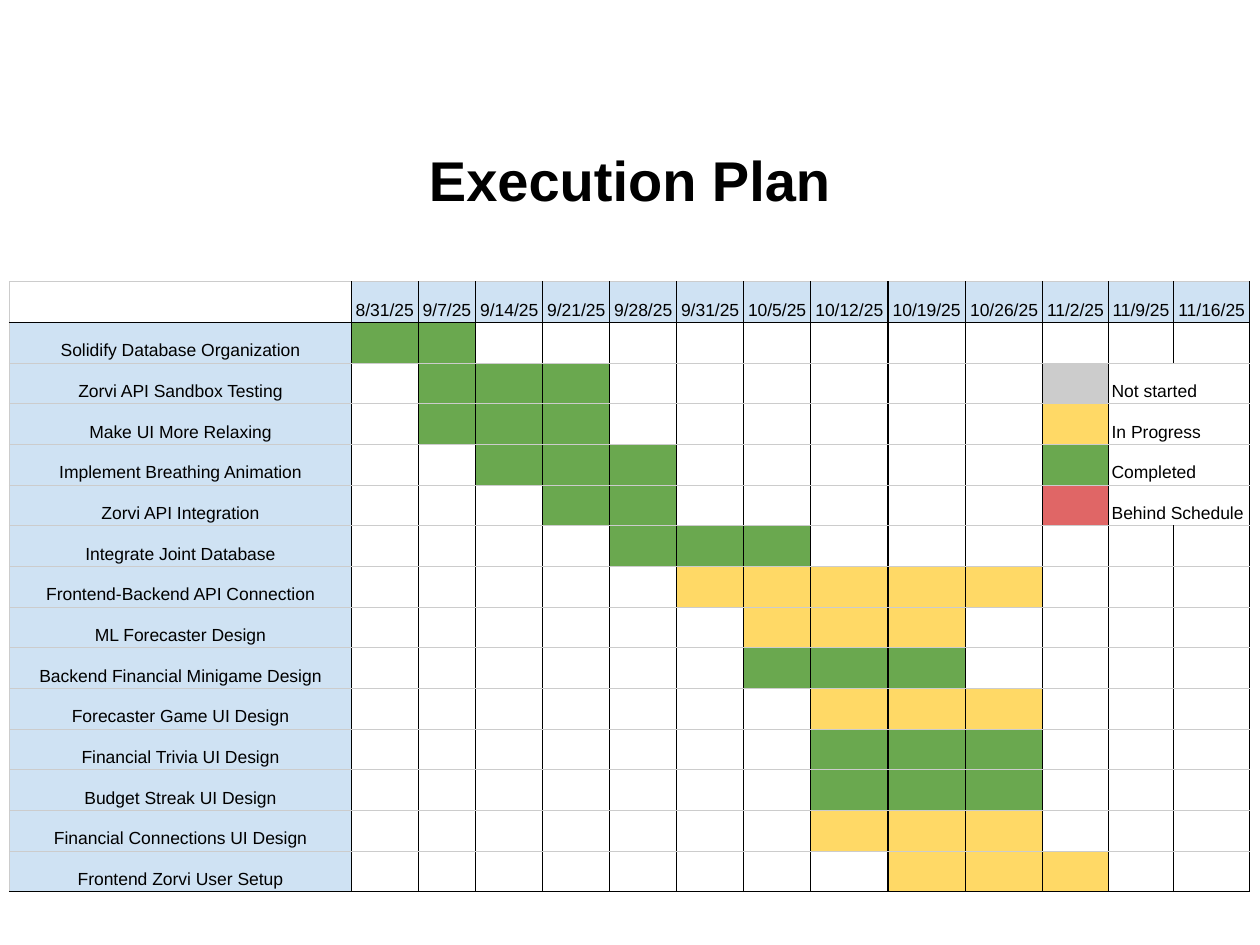
"""Build the execution plan slide: a title above a weekly Gantt table with a status legend."""

from dataclasses import dataclass
from typing import NamedTuple

from lxml import etree
from pptx import Presentation
from pptx.dml.color import RGBColor
from pptx.enum.text import MSO_ANCHOR, PP_ALIGN
from pptx.oxml.ns import qn
from pptx.slide import Slide
from pptx.table import Table, _Cell
from pptx.text.text import TextFrame
from pptx.util import Cm, Pt

CENTER, LEFT = PP_ALIGN.CENTER, PP_ALIGN.LEFT
MIDDLE, BOTTOM = MSO_ANCHOR.MIDDLE, MSO_ANCHOR.BOTTOM


@dataclass(frozen=True)
class Theme:
    font: str = "Arial"
    title_size: int = 32
    table_size: int = 10
    line_spacing: float = 1.15
    border_width: float = 0.75
    ink: str = "000000"
    paper: str = "FFFFFF"
    rule: str = "CCCCCC"
    heading: str = "CFE2F3"
    not_started: str = "CCCCCC"
    in_progress: str = "FFD966"
    completed: str = "6AA84F"
    behind: str = "E06666"


class Task(NamedTuple):
    name: str
    first_week: int
    weeks: int
    color: str


class LegendEntry(NamedTuple):
    label: str
    color: str


THEME = Theme()
DONE, ACTIVE = THEME.completed, THEME.in_progress

WEEKS = (
    "8/31/25", "9/7/25", "9/14/25", "9/21/25", "9/28/25", "9/31/25", "10/5/25",
    "10/12/25", "10/19/25", "10/26/25", "11/2/25", "11/9/25", "11/16/25",
)
TASKS = (
    Task("Solidify Database Organization", 1, 2, DONE),
    Task("Zorvi API Sandbox Testing", 2, 3, DONE),
    Task("Make UI More Relaxing", 2, 3, DONE),
    Task("Implement Breathing Animation", 3, 3, DONE),
    Task("Zorvi API Integration", 4, 2, DONE),
    Task("Integrate Joint Database", 5, 3, DONE),
    Task("Frontend-Backend API Connection", 6, 5, ACTIVE),
    Task("ML Forecaster Design", 7, 3, ACTIVE),
    Task("Backend Financial Minigame Design", 7, 3, DONE),
    Task("Forecaster Game UI Design", 8, 3, ACTIVE),
    Task("Financial Trivia UI Design", 8, 3, DONE),
    Task("Budget Streak UI Design", 8, 3, DONE),
    Task("Financial Connections UI Design", 8, 3, ACTIVE),
    Task("Frontend Zorvi User Setup", 9, 3, ACTIVE),
)
LEGEND = (
    LegendEntry("Not started", THEME.not_started),
    LegendEntry("In Progress", ACTIVE),
    LegendEntry("Completed", DONE),
    LegendEntry("Behind Schedule", THEME.behind),
)
LEGEND_ROW, LEGEND_COLUMN = 2, 11
COLUMN_WIDTHS = (6.89, 1.35, 1.16, *[1.35] * 5, *[1.56] * 3, 1.32, 1.32, 1.53)
ROW_HEIGHT = 0.82
TEXT_MARGINS = {
    "margin_left": Cm(0.07), "margin_right": Cm(0.07),
    "margin_top": Cm(0.05), "margin_bottom": Cm(0.05),
    "vertical_anchor": BOTTOM,
}
EMPTY_MARGINS = {**TEXT_MARGINS, "margin_top": 0, "margin_bottom": 0}


def apply(target: object, values: dict) -> None:
    for attribute, value in values.items():
        setattr(target, attribute, value)


def write(frame: TextFrame, text: str, size: int, paragraph_format: dict, bold: bool = False) -> None:
    paragraph = frame.paragraphs[0]
    apply(paragraph, paragraph_format)
    run = paragraph.add_run()
    run.text = text
    apply(run.font, {"name": THEME.font, "size": Pt(size), "bold": bold})
    run.font.color.rgb = RGBColor.from_string(THEME.ink)


def fill_cell(cell: _Cell, color: str) -> None:
    cell.fill.solid()
    cell.fill.fore_color.rgb = RGBColor.from_string(color)


def label_cell(cell: _Cell, text: str, align: PP_ALIGN = CENTER) -> None:
    apply(cell, TEXT_MARGINS)
    write(cell.text_frame, text, THEME.table_size,
          {"alignment": align, "line_spacing": THEME.line_spacing})


def border_cell(cell: _Cell, colors: dict[str, str]) -> None:
    properties = cell._tc.get_or_add_tcPr()
    for position, (side, color) in enumerate(colors.items()):
        line = etree.Element(qn(f"a:ln{side}"), w=str(Pt(THEME.border_width)))
        solid = etree.SubElement(line, qn("a:solidFill"))
        etree.SubElement(solid, qn("a:srgbClr"), val=color)
        properties.insert(position, line)


def draw_grid(table: Table) -> None:
    last_row = len(TASKS)
    for row in range(last_row + 1):
        for column in range(len(COLUMN_WIDTHS)):
            cell = table.cell(row, column)
            if cell.is_spanned:
                continue
            apply(cell, EMPTY_MARGINS)
            fill_cell(cell, THEME.paper)
            border_cell(cell, {
                "L": THEME.ink if column else THEME.rule,
                "R": THEME.ink,
                "T": THEME.ink if row == 1 else THEME.rule,
                "B": THEME.ink if row in (0, last_row) else THEME.rule,
            })


def draw_heading(cell: _Cell, text: str) -> None:
    fill_cell(cell, THEME.heading)
    label_cell(cell, text)


def draw_schedule(slide: Slide) -> None:
    table = slide.shapes.add_table(
        len(TASKS) + 1, len(COLUMN_WIDTHS), Cm(0.19), Cm(5.68),
        Cm(sum(COLUMN_WIDTHS)), Cm(ROW_HEIGHT * (len(TASKS) + 1)),
    ).table
    apply(table, {"first_row": False, "horz_banding": False})
    for column, width in zip(table.columns, COLUMN_WIDTHS):
        column.width = Cm(width)
    for row in table.rows:
        row.height = Cm(ROW_HEIGHT)

    for row in range(LEGEND_ROW, LEGEND_ROW + len(LEGEND)):
        table.cell(row, LEGEND_COLUMN + 1).merge(table.cell(row, LEGEND_COLUMN + 2))
    draw_grid(table)

    for column, week in enumerate(WEEKS, start=1):
        draw_heading(table.cell(0, column), week)
    for row, task in enumerate(TASKS, start=1):
        draw_heading(table.cell(row, 0), task.name)
        for week in range(task.first_week, task.first_week + task.weeks):
            fill_cell(table.cell(row, week), task.color)
    for row, entry in enumerate(LEGEND, start=LEGEND_ROW):
        fill_cell(table.cell(row, LEGEND_COLUMN), entry.color)
        label_cell(table.cell(row, LEGEND_COLUMN + 1), entry.label, LEFT)


def draw_title(slide: Slide, text: str) -> None:
    frame = slide.shapes.add_textbox(Cm(1.27), Cm(2.49), Cm(22.86), Cm(2.24)).text_frame
    apply(frame, {"word_wrap": True, "vertical_anchor": MIDDLE})
    write(frame, text, THEME.title_size, {"alignment": CENTER}, bold=True)


def main() -> None:
    deck = Presentation()
    apply(deck, {"slide_width": Cm(25.4), "slide_height": Cm(19.05)})
    slide = deck.slides.add_slide(deck.slide_layouts[6])
    draw_title(slide, "Execution Plan")
    draw_schedule(slide)
    deck.save("out.pptx")


if __name__ == "__main__":
    main()
